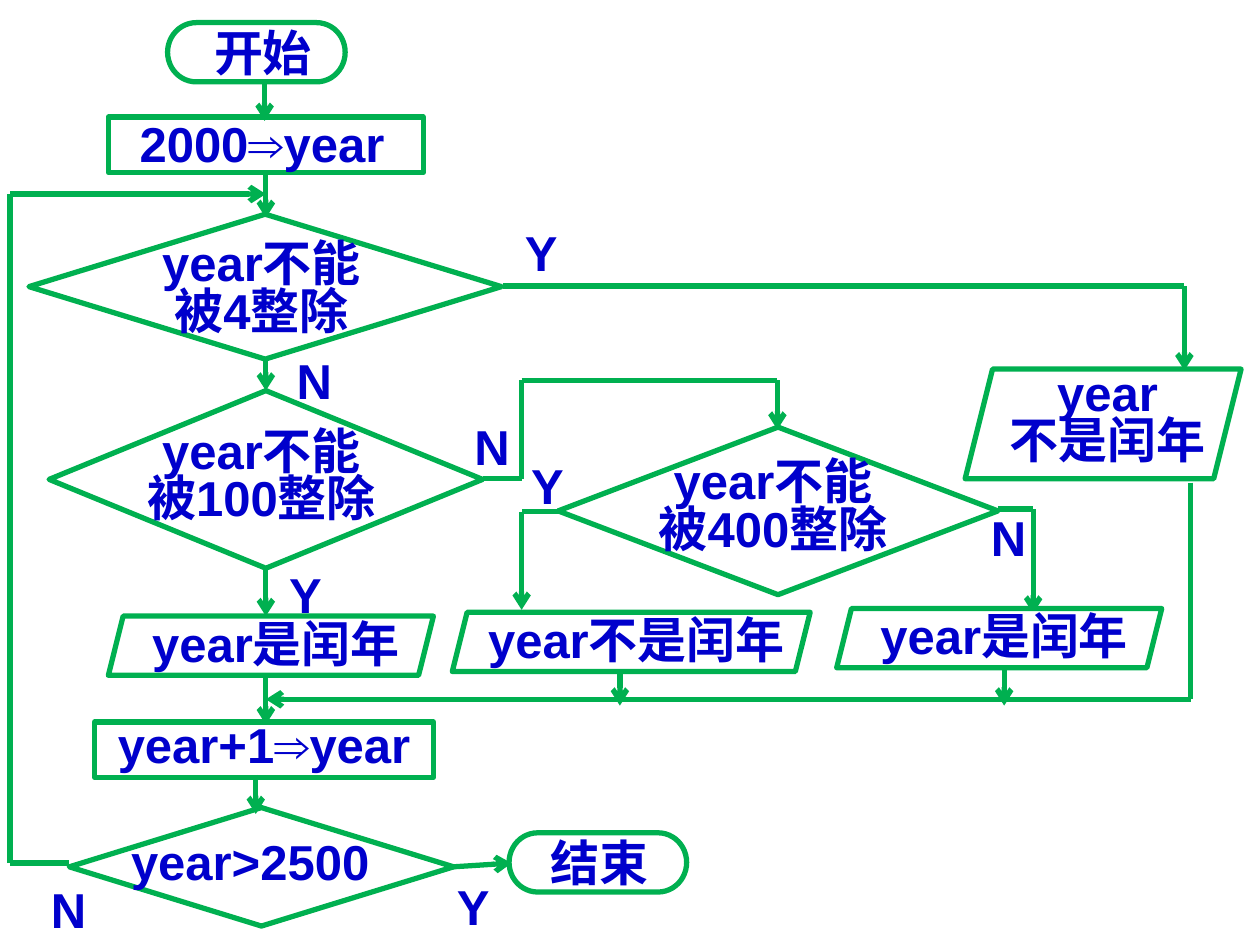
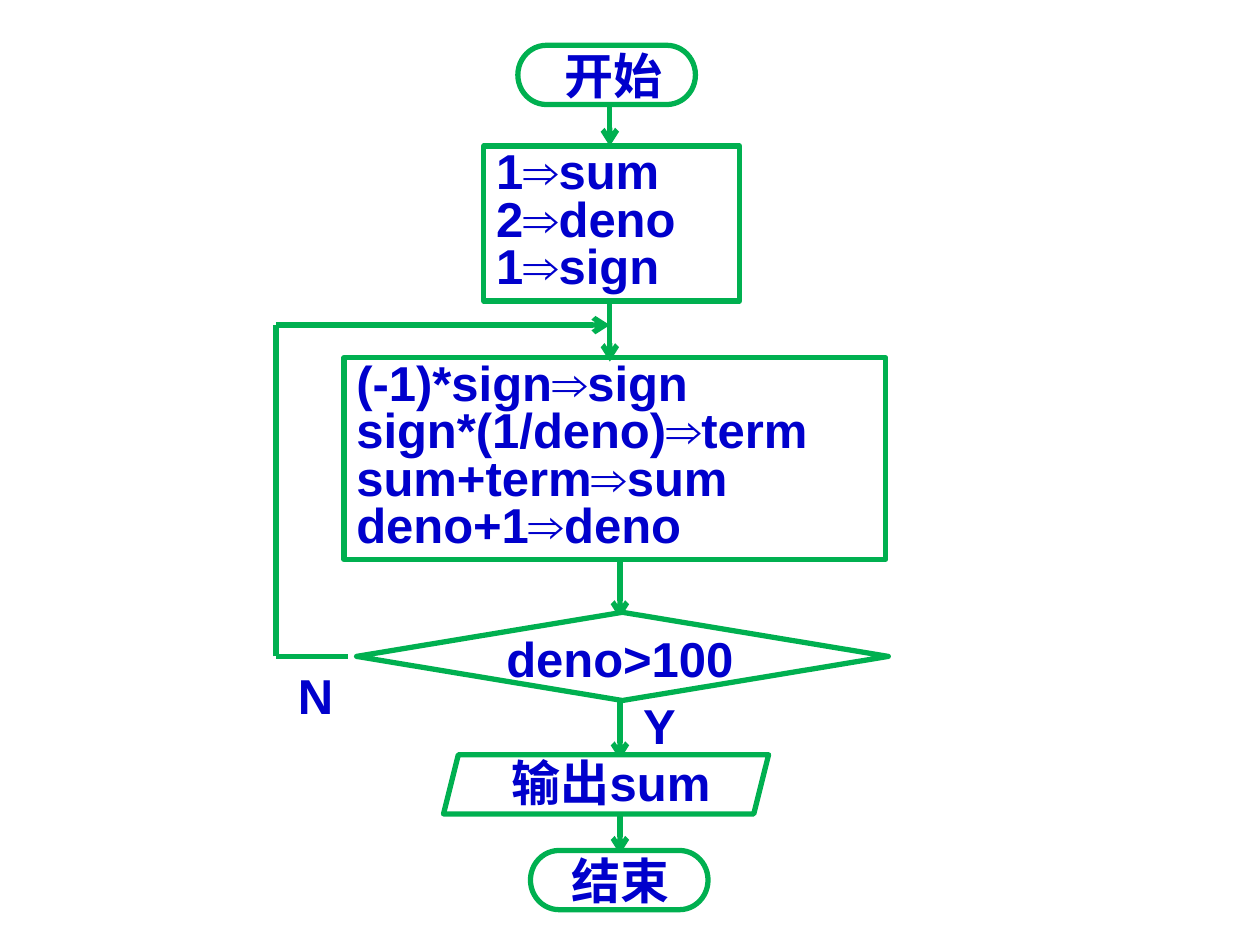
from lxml import etree
from pptx import Presentation
from pptx.dml.color import RGBColor
from pptx.enum.shapes import MSO_CONNECTOR, MSO_SHAPE
from pptx.enum.text import MSO_ANCHOR, PP_ALIGN
from pptx.oxml.ns import qn
from pptx.util import Inches, Pt

COLORS = {"line": "00B050", "text": "0000CC", "fill": "FFFFFF"}
FONT, SIZE, LEADING = "Arial", 28, 27
ROW = 0.57
OVAL = MSO_SHAPE.FLOWCHART_TERMINATOR
TEST = MSO_SHAPE.FLOWCHART_DECISION
SLANT = MSO_SHAPE.PARALLELOGRAM
RECT = MSO_SHAPE.RECTANGLE


def color(name):
    return RGBColor.from_string(COLORS[name])


def write(frame, text, align=PP_ALIGN.CENTER, tight=False):
    """Fill a frame, one paragraph a line; tight sets the exact leading."""
    frame.word_wrap = True
    frame.vertical_anchor = MSO_ANCHOR.TOP
    frame.margin_left = frame.margin_right = Inches(0.1)
    frame.margin_top = frame.margin_bottom = Inches(0.05)
    for i, line in enumerate(text.split("\n")):
        para = frame.add_paragraph() if i else frame.paragraphs[0]
        para.alignment = align
        if tight:
            para.line_spacing = Pt(LEADING)
        run = para.add_run()
        run.text = line
        run.font.name, run.font.size, run.font.bold = FONT, Pt(SIZE), True
        run.font.color.rgb = color("text")


def label(shapes, x, y, text, width=0.63, **style):
    rows = text.count("\n") + 1
    height = rows * LEADING / 72 + 0.1 if style.get("tight") else ROW
    box = shapes.add_textbox(*map(Inches, (x, y, width, height)))
    write(box.text_frame, text, **style)


def outline(shapes, kind, box):
    shape = shapes.add_shape(kind, *map(Inches, box))
    shape.shadow.inherit = False
    shape.line.color.rgb = color("line")
    shape.line.width = Pt(3)
    if kind == RECT:
        shape.fill.background()
    else:
        shape.fill.solid()
        shape.fill.fore_color.rgb = color("fill")
    return shape


def node(page, kind, box, text, shift, width, **style):
    """Group an outline with its text, which is shifted from the box corner."""
    shapes = page.shapes.add_group_shape().shapes
    outline(shapes, kind, box)
    label(shapes, box[0] + shift[0], box[1] + shift[1], text, width, **style)


def oval(page, x, y, text, shift=0.23):
    node(page, OVAL, (x, y, 1.41, 0.47), text, (shift, -0.05), 1.02,
         align=PP_ALIGN.LEFT)


def slant(page, x, y, text, width=2.58):
    node(page, SLANT, (x, y, width, 0.47), text, (0.11, -0.07), width - 0.14)


def test(page, box, text, shift):
    node(page, TEST, box, text, shift, 2.27, tight=True)


def block(page, box, text):
    shape = outline(page.shapes, RECT, box)
    write(shape.text_frame, text, align=PP_ALIGN.LEFT, tight=True)


def wire(page, *points, arrow=True):
    """Join the points with straight lines, the last one with an arrowhead."""
    for i, (start, end) in enumerate(zip(points, points[1:]), 2):
        line = page.shapes.add_connector(
            MSO_CONNECTOR.STRAIGHT, *map(Inches, start + end))
        line.line.color.rgb = color("line")
        line.line.width = Pt(3)
        if arrow and i == len(points):
            etree.SubElement(line.line._get_or_add_ln(), qn("a:tailEnd"), type="arrow")
        etree.SubElement(line._element.spPr, qn("a:effectLst"))


def drop(page, x, top, bottom):
    wire(page, (x, top), (x, bottom))


def leap(page):
    """Flowchart that tells leap years from 2000 to 2500."""
    spine, edge, bus = 2.11, 0.08, 5.55
    drop(page, 2.1, 0.66, 0.96)
    for top, bottom in ((1.35, 1.73), (2.81, 3.1), (4.5, 4.89), (5.36, 5.75)):
        drop(page, spine, top, bottom)
    wire(page, (3.59, 6.88), (4.06, 6.85))
    wire(page, (0.55, 6.85), (edge, 6.85), (edge, 1.54), (spine, 1.54))

    oval(page, 1.33, 0.18, "开始", 0.27)
    node(page, RECT, (0.86, 0.93, 2.5, 0.44), "2000⇒year", (0.15, -0.08), 2.27,
         align=PP_ALIGN.LEFT)
    test(page, (0.23, 1.7, 3.75, 1.15), "year不能\n被4整除", (0.71, 0.19))
    test(page, (0.39, 3.1, 3.44, 1.41), "year不能\n被100整除", (0.55, 0.28))
    slant(page, 0.86, 4.89, "year是闰年")
    node(page, RECT, (0.75, 5.73, 2.69, 0.44), "year+1⇒year", (-0.1, -0.11), 2.89)
    test(page, (0.55, 6.41, 3.05, 0.94), "year>2500", (0.3, 0.23))
    drop(page, 2.03, 6.15, 6.46)
    oval(page, 4.04, 6.61, "结束")

    wire(page, (3.83, 3.8), (4.14, 3.8), (4.14, 3.02), (6.17, 3.02), (6.17, 3.41))
    test(page, (4.43, 3.39, 3.49, 1.33), "year不能\n被400整除", (0.57, 0.23))
    wire(page, (3.99, 2.27), (9.4, 2.27), (9.4, 2.94))
    node(page, SLANT, (7.66, 2.93, 2.19, 0.87), "year\n不是闰年", (0.23, -0.01), 1.8,
         tight=True)
    wire(page, (7.92, 4.04), (8.2, 4.04), (8.2, 4.87))
    slant(page, 6.64, 4.83, "year是闰年")
    slant(page, 3.59, 4.86, "year不是闰年", 2.84)
    wire(page, (4.45, 4.06), (4.14, 4.06), (4.14, 4.84))
    wire(page, (9.45, 3.83), (9.45, bus), (spine, bus))
    for x in (4.92, 7.97):
        drop(page, x, 5.31, 5.6)

    for x, y, text in ((0.23, 6.93, "N"), (spine, 4.43, "Y"), (2.18, 2.73, "N"),
                       (3.44, 6.91, "Y"), (3.98, 1.72, "Y"), (3.59, 3.26, "N"),
                       (4.03, 3.57, "Y"), (7.69, 3.98, "N")):
        label(page.shapes, x, y, text)


def series(page):
    """Flowchart that sums 1 - 1/2 + 1/3 and so on up to 1/100."""
    upper, lower, edge = 4.84, 4.92, 2.19
    for x, top, bottom in ((upper, 0.85, 1.16), (upper, 2.4, 2.87),
                           (lower, 4.44, 4.91), (lower, 6.47, 6.78)):
        drop(page, x, top, bottom)
    wire(page, (2.76, 5.21), (edge, 5.21), (edge, 2.58), (upper, 2.58))

    oval(page, 4.11, 0.36, "开始", 0.27)
    block(page, (3.84, 1.16, 2.03, 1.23), "1⇒sum\n2⇒deno\n1⇒sign")
    block(page, (2.73, 2.84, 4.3, 1.6),
          "(-1)*sign⇒sign\nsign*(1/deno)⇒term\nsum+term⇒sum\ndeno+1⇒deno")
    node(page, TEST, (2.83, 4.86, 4.22, 0.7), "deno>100", (0.76, 0.08), 2.66)
    drop(page, lower, 5.56, 6.03)
    slant(page, 3.52, 5.99, "输出sum")
    oval(page, 4.21, 6.75, "结束")
    label(page.shapes, edge, 5.23, "N")
    label(page.shapes, lower, 5.47, "Y")


def main():
    deck = Presentation()
    deck.slide_width, deck.slide_height = Inches(10), Inches(7.5)
    for draw in (leap, series):
        draw(deck.slides.add_slide(deck.slide_layouts[6]))
    deck.save("out.pptx")


if __name__ == "__main__":
    main()
